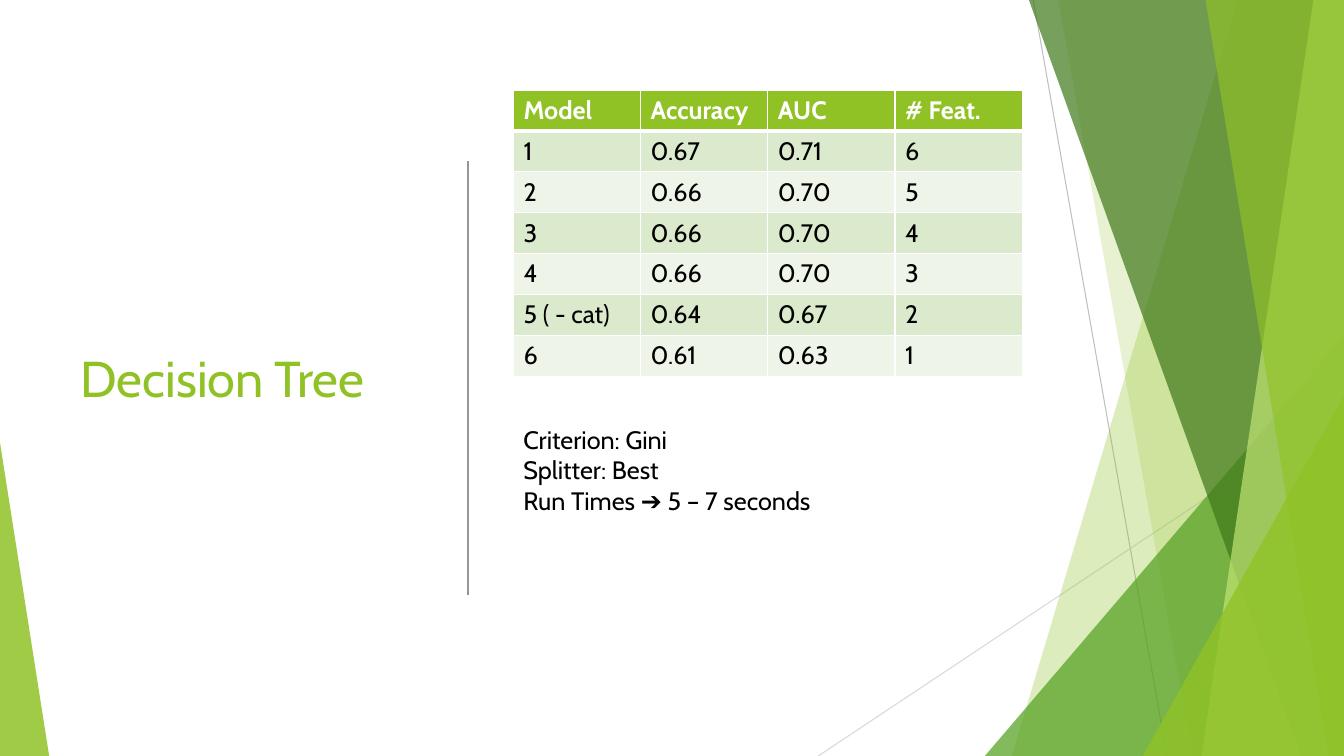
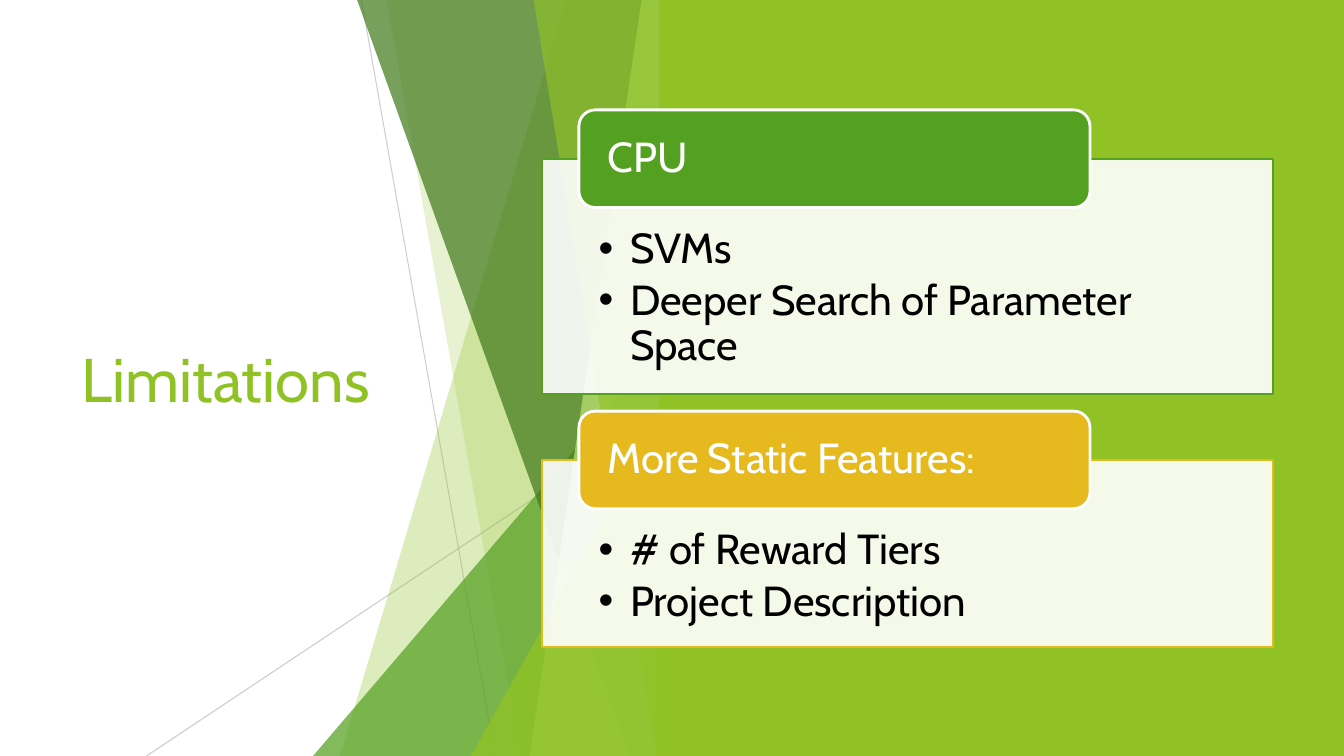
from lxml import etree
from pptx import Presentation
from pptx.dml.color import RGBColor
from pptx.enum import shapes, text
from pptx.oxml.ns import qn
from pptx.util import Cm, Pt

FONT = "Cabin"
WHITE = RGBColor(0xFF, 0xFF, 0xFF)
BLACK = RGBColor(0x00, 0x00, 0x00)
LIME = RGBColor(0x90, 0xC2, 0x26)
PALE_LIME = RGBColor(0xC0, 0xE4, 0x74)
GREEN = RGBColor(0x54, 0xA0, 0x21)
DARK_GREEN = RGBColor(0x3F, 0x78, 0x19)
GOLD = RGBColor(0xE6, 0xB9, 0x1E)
ROW_FILLS = [RGBColor(0xEE, 0xF4, 0xE8), RGBColor(0xDB, 0xE9, 0xCD)]
DIVIDER_GREY = RGBColor(0x96, 0x96, 0x96)
GREYS = [RGBColor(0xBF, 0xBF, 0xBF), RGBColor(0xD9, 0xD9, 0xD9)]
SOFT_GREYS = [RGBColor(0xCF, 0xCF, 0xCF), RGBColor(0xCC, 0xCC, 0xCC)]

WIDTH, HEIGHT = 33.87, 19.05
HALF = 16.93

# Apex x, apex y, left end of the base, colour, opacity in percent.
# Facets that start at the top edge reach the right edge as well.
FACETS = [
    (31.19, 0, 25.5, LIME, 30),
    (26.67, 0, 30.05, LIME, 20),
    (WIDTH, 8.46, 24.82, GREEN, 72),
    (25.93, 0, 32.79, DARK_GREEN, 70),
    (33.1, 0, 30.28, PALE_LIME, 70),
    (30.38, 0, 33.48, LIME, 65),
    (WIDTH, 9.98, 28.8, LIME, 80),
]
FACET_LINES = [(26.04, 0, 29.41, HEIGHT), (WIDTH, 10.24, 20.62, HEIGHT)]


def paint(shape, color, opacity=100, outline=None, outline_width=1.5):
    shape.shadow.inherit = False
    shape.fill.solid()
    shape.fill.fore_color.rgb = color
    if opacity < 100:
        color_node = shape._element.spPr.find(qn("a:solidFill"))[0]
        etree.SubElement(color_node, qn("a:alpha"), val=str(opacity * 1000))
    if outline is None:
        shape.line.fill.background()
    else:
        shape.line.color.rgb = outline
        shape.line.width = Pt(outline_width)


def write(frame, lines, size=18, color=BLACK, bold=False, middle=False,
          insets=None, spacing=None, after=None, bullet=False):
    """Fill a text frame with one paragraph per line; insets are l, t, r, b in cm."""
    frame.word_wrap = True
    frame.vertical_anchor = text.MSO_ANCHOR.MIDDLE if middle else text.MSO_ANCHOR.TOP
    if insets:
        (frame.margin_left, frame.margin_top,
         frame.margin_right, frame.margin_bottom) = map(Cm, insets)
    for index, line in enumerate(lines):
        paragraph = frame.add_paragraph() if index else frame.paragraphs[0]
        paragraph.alignment = text.PP_ALIGN.LEFT
        if spacing:
            paragraph.line_spacing = spacing
        if after:
            paragraph.space_after = Pt(after)
        if bullet:
            properties = paragraph._p.get_or_add_pPr()
            properties.set("marL", str(Cm(0.79)))
            properties.set("indent", str(-Cm(0.79)))
            etree.SubElement(properties, qn("a:buFont"), typeface="Arial")
            etree.SubElement(properties, qn("a:buChar"), char="•")
        run = paragraph.add_run()
        run.text = line
        run.font.name = FONT
        run.font.size = Pt(size)
        run.font.bold = bold
        run.font.color.rgb = color


deck = Presentation()
deck.slide_width, deck.slide_height = Cm(WIDTH), Cm(HEIGHT)
tree_slide, limits_slide = [deck.slides.add_slide(deck.slide_layouts[6]) for _ in range(2)]

# Shared look: faceted band and title
for slide, shift, greys, title, title_box, title_size in [
    (tree_slide, 0, GREYS, "Decision Tree", (1.78, 2.26, 9.35, 14.5), 36),
    (limits_slide, HALF, SOFT_GREYS, "Limitations", (1.8, 3.84, 9.86, 11.38), 44),
]:
    rules = [(x1 - shift, y1, x2 - shift, y2, grey, 0.75)
             for (x1, y1, x2, y2), grey in zip(FACET_LINES, greys)]
    if slide is tree_slide:
        rules.append((11.79, 4.06, 11.79, 14.99, DIVIDER_GREY, 1))
    for *ends, grey, weight in rules:
        rule = slide.shapes.add_connector(shapes.MSO_CONNECTOR.STRAIGHT, *map(Cm, ends))
        rule.line.color.rgb = grey
        rule.line.width = Pt(weight)
        etree.SubElement(rule._element.spPr, qn("a:effectLst"))

    right = WIDTH - shift
    for apex_x, apex_y, base_x, color, opacity in FACETS:
        apex_x, base_x = apex_x - shift, base_x - shift
        if apex_y:
            facet = slide.shapes.add_shape(
                shapes.MSO_SHAPE.ISOSCELES_TRIANGLE, Cm(base_x), Cm(apex_y),
                Cm(right - base_x), Cm(HEIGHT - apex_y))
            facet.adjustments[0] = 1
        else:
            outline = slide.shapes.build_freeform(Cm(apex_x), 0)
            outline.add_line_segments(
                [(Cm(right), 0), (Cm(right), Cm(HEIGHT)), (Cm(base_x), Cm(HEIGHT))])
            facet = outline.convert_to_shape()
        paint(facet, color, opacity)

    title_text = slide.shapes.add_textbox(*map(Cm, title_box))
    write(title_text.text_frame, [title], size=title_size, color=LIME, middle=True)

# Decision Tree
corner = tree_slide.shapes.add_shape(
    shapes.MSO_SHAPE.ISOSCELES_TRIANGLE, 0, Cm(11.15), Cm(1.24), Cm(HEIGHT - 11.15))
corner.adjustments[0] = 0
paint(corner, LIME, 85)

scores = [
    ("Model", "Accuracy", "AUC", "# Feat."),
    ("1", "0.67", "0.71", "6"),
    ("2", "0.66", "0.70", "5"),
    ("3", "0.66", "0.70", "4"),
    ("4", "0.66", "0.70", "3"),
    ("5 ( - cat)", "0.64", "0.67", "2"),
    ("6", "0.61", "0.63", "1"),
]
score_table = tree_slide.shapes.add_table(
    len(scores), 4, Cm(12.94), Cm(2.27), Cm(12.82), Cm(7.21)).table
for row_index, row in enumerate(scores):
    header = row_index == 0
    score_table.rows[row_index].height = Cm(1.03)
    for column_index, value in enumerate(row):
        cell = score_table.cell(row_index, column_index)
        cell.fill.solid()
        cell.fill.fore_color.rgb = LIME if header else ROW_FILLS[row_index % 2]
        write(cell.text_frame, [value], color=WHITE if header else BLACK, bold=header)
        for position, side in enumerate(("lnL", "lnR", "lnT", "lnB")):
            under_header = (row_index, side) in [(0, "lnB"), (1, "lnT")]
            border = etree.Element(qn(f"a:{side}"), w=str(Pt(3 if under_header else 1)))
            border_fill = etree.SubElement(border, qn("a:solidFill"))
            etree.SubElement(border_fill, qn("a:srgbClr"), val=str(WHITE))
            cell._tc.get_or_add_tcPr().insert(position, border)

settings = tree_slide.shapes.add_textbox(Cm(12.94), Cm(10.57), Cm(13.28), Cm(2.57))
write(settings.text_frame,
      ["Criterion: Gini", "Splitter: Best", "Run Times ➔ 5 – 7 seconds"])

# Limitations
panel = limits_slide.shapes.add_shape(
    shapes.MSO_SHAPE.RECTANGLE, Cm(16.61), 0, Cm(WIDTH - 16.61), Cm(HEIGHT))
paint(panel, LIME)

card_left, card_top, card_gap = 13.67, 4, 1.67
for heading, points, color, card_height in [
    ("CPU", ["SVMs", "Deeper Search of Parameter Space"], GREEN, 5.92),
    ("More Static Features:", ["# of Reward Tiers", "Project Description"], GOLD, 4.72),
]:
    card = limits_slide.shapes.add_shape(
        shapes.MSO_SHAPE.RECTANGLE, Cm(card_left), Cm(card_top), Cm(18.42), Cm(card_height))
    paint(card, WHITE, 90, outline=color)
    write(card.text_frame, points, size=30, insets=(1.42, 1.73, 1.42, 0.58),
          spacing=0.9, after=4.5, bullet=True)
    tab = limits_slide.shapes.add_shape(
        shapes.MSO_SHAPE.ROUNDED_RECTANGLE, Cm(card_left + 0.92), Cm(card_top - 1.23),
        Cm(12.88), Cm(2.46))
    paint(tab, color, outline=WHITE, outline_width=2)
    write(tab.text_frame, [heading], size=30, color=WHITE, middle=True,
          insets=(0.6, 0, 0.6, 0), spacing=0.9)
    card_top += card_height + card_gap

deck.save("out.pptx")
